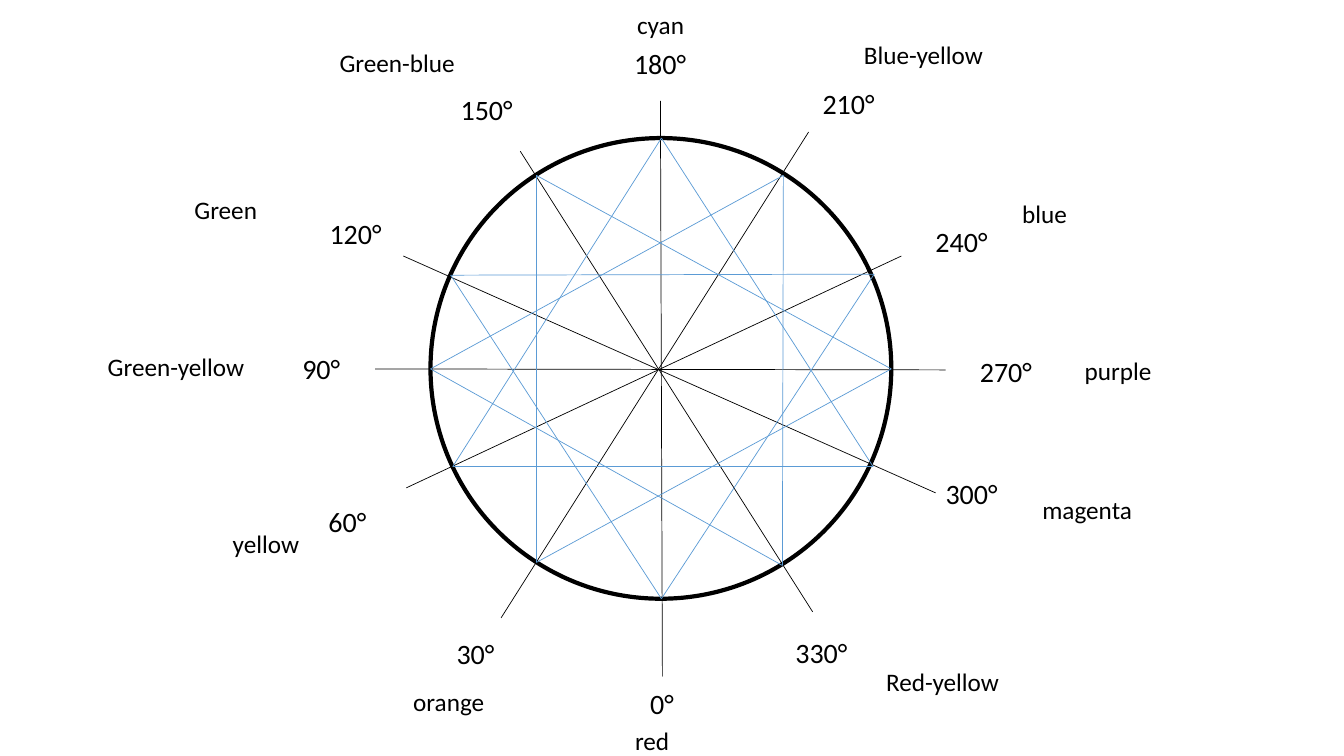
from collections import namedtuple

from lxml.etree import SubElement
from pptx import Presentation
from pptx.dml.color import RGBColor
from pptx.enum.shapes import MSO_CONNECTOR, MSO_SHAPE
from pptx.enum.text import MSO_AUTO_SIZE
from pptx.oxml.ns import qn
from pptx.util import Inches, Pt

BLACK = RGBColor(0x00, 0x00, 0x00)
BLUE = RGBColor(0x5B, 0x9B, 0xD5)
FONT = "Calibri"

COLUMNS, ROWS = 1333, 750
SLIDE_WIDTH, SLIDE_HEIGHT = Inches(13.33), Inches(7.5)

CIRCLE_LEFT, CIRCLE_TOP, DIAMETER = 427, 137, 457
DEGREE_SIZE, NAME_SIZE = (76, 44), (163, 40)
DEGREES_PER_HUE = 30

Hue = namedtuple("Hue", "name rim spoke_end degree_at name_at")

HUES = [
    Hue("red", (656, 594), (657, 671), (635, 676), (620, 715)),
    Hue("orange", (532, 558), (497, 613), (443, 627), (400, 676)),
    Hue("yellow", (449, 463), (403, 484), (316, 496), (221, 519)),
    Hue("Green-yellow", (427, 366), (372, 366), (290, 344), (97, 344)),
    Hue("Green", (447, 273), (400, 254), (317, 210), (183, 188)),
    Hue("Green-blue", (532, 174), (516, 150), (447, 87), (327, 42)),
    Hue("cyan", (656, 137), (655, 100), (619, 41), (622, 4)),
    Hue("Blue-yellow", (777, 174), (802, 131), (806, 81), (847, 34)),
    Hue("blue", (867, 272), (894, 254), (918, 218), (1004, 192)),
    Hue("purple", (884, 366), (938, 367), (962, 347), (1066, 348)),
    Hue("magenta", (866, 463), (928, 489), (928, 468), (1024, 486)),
    Hue("Red-yellow", (776, 561), (806, 607), (779, 626), (869, 656)),
]


def grid(column, row):
    return round(SLIDE_WIDTH * column / COLUMNS), round(SLIDE_HEIGHT * row / ROWS)


def add_circle(slide):
    circle = slide.shapes.add_shape(
        MSO_SHAPE.OVAL, *grid(CIRCLE_LEFT, CIRCLE_TOP), *grid(DIAMETER, DIAMETER)
    )
    circle.shadow.inherit = False
    circle.fill.background()
    circle.line.color.rgb = BLACK
    circle.line.width = Pt(3)


def add_line(slide, start, end, color):
    line = slide.shapes.add_connector(
        MSO_CONNECTOR.STRAIGHT, *grid(*start), *grid(*end)
    )
    line.line.color.rgb = color
    line.line.width = Pt(0.5)
    SubElement(line._element.spPr, qn("a:effectLst"))


def add_label(slide, text, position, size, points):
    label = slide.shapes.add_textbox(*grid(*position), *grid(*size))
    frame = label.text_frame
    frame.word_wrap = True
    frame.auto_size = MSO_AUTO_SIZE.SHAPE_TO_FIT_TEXT
    frame.text = text
    font = frame.paragraphs[0].runs[0].font
    font.name = FONT
    font.size = Pt(points)
    font.color.rgb = BLACK


def main():
    presentation = Presentation()
    presentation.slide_width = SLIDE_WIDTH
    presentation.slide_height = SLIDE_HEIGHT
    slide = presentation.slides.add_slide(presentation.slide_layouts[6])

    add_circle(slide)

    half_turn = len(HUES) // 2
    for hue, opposite in zip(HUES[:half_turn], HUES[half_turn:]):
        add_line(slide, hue.spoke_end, opposite.spoke_end, BLACK)

    for index, hue in enumerate(HUES):
        degree = f"{index * DEGREES_PER_HUE}°"
        add_label(slide, degree, hue.degree_at, DEGREE_SIZE, 20)
        add_label(slide, hue.name, hue.name_at, NAME_SIZE, 18)

    third_turn = len(HUES) // 3
    for index, hue in enumerate(HUES):
        triad_partner = HUES[(index + third_turn) % len(HUES)]
        add_line(slide, hue.rim, triad_partner.rim, BLUE)

    presentation.save("out.pptx")


if __name__ == "__main__":
    main()
